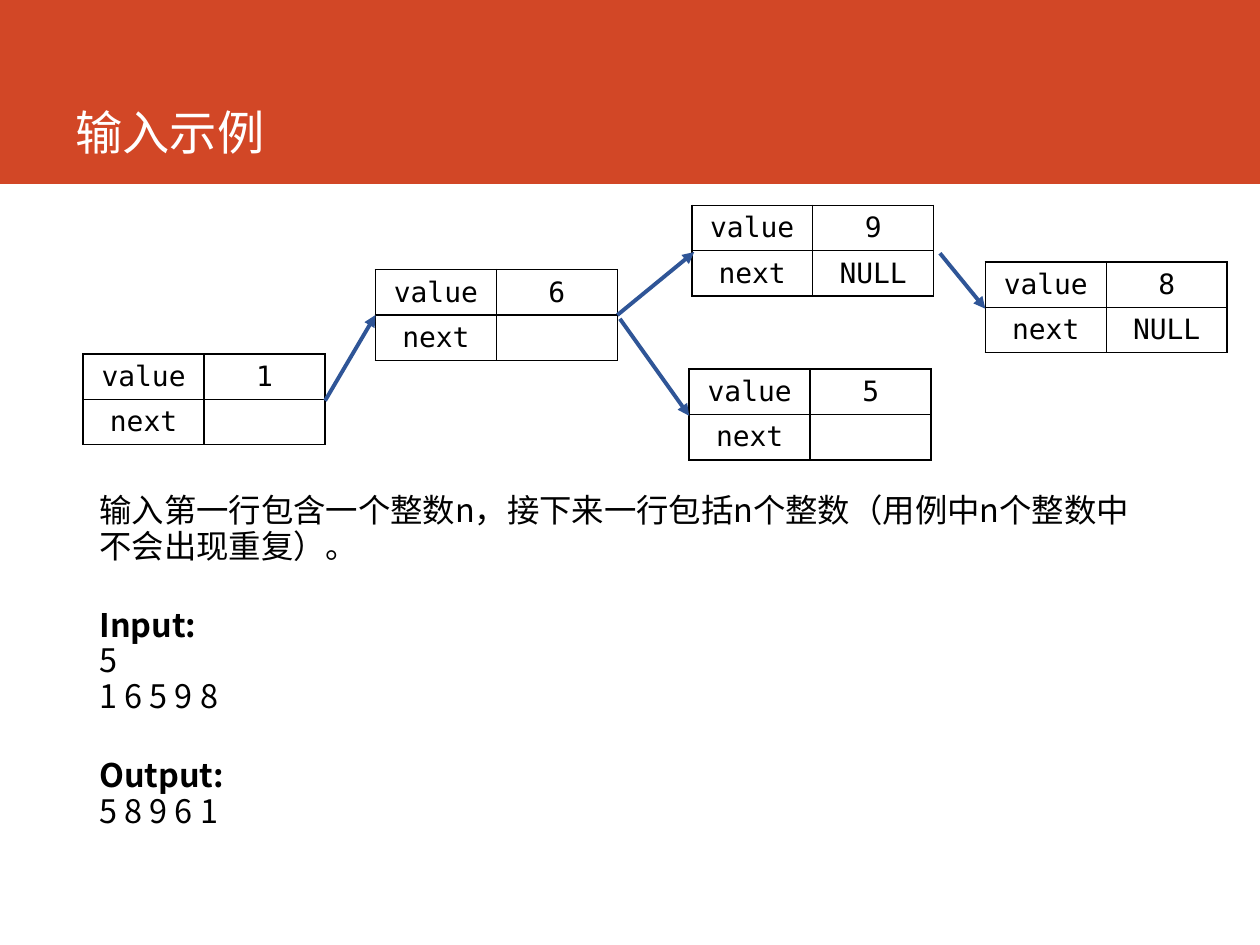
from lxml.etree import SubElement
from pptx import Presentation
from pptx.dml.color import RGBColor
from pptx.enum.shapes import MSO_CONNECTOR, MSO_SHAPE
from pptx.enum.text import MSO_ANCHOR, PP_ALIGN
from pptx.oxml.ns import qn
from pptx.util import Inches, Pt

COLORS = {"banner": "D24726", "title": "FFFFFF", "text": "000000", "arrow": "2F5597"}
SANS = "Noto Sans CJK SC"
MONO = "DejaVu Sans Mono"
COLUMN_WIDTH, ROW_HEIGHT = 0.96, 0.36


def color(name):
    return RGBColor.from_string(COLORS[name])


class SlideBuilder:
    """Holds the style and the current slide."""

    def __init__(self, page):
        self.page = page

    def style(self, paragraph, size, font, shade="text", bold=False):
        for span in paragraph.runs:
            span.font.size = Pt(size)
            span.font.name = font
            span.font.bold = bold
            span.font.color.rgb = color(shade)
            SubElement(span.font._element, qn("a:ea"), typeface=font)

    def banner(self, width, height):
        box = self.page.shapes.add_shape(
            MSO_SHAPE.RECTANGLE, 0, 0, Inches(width), Inches(height))
        box.shadow.inherit = False
        box.fill.solid()
        box.fill.fore_color.rgb = color("banner")
        box.line.fill.background()

    def text(self, left, top, width, height, anchor=MSO_ANCHOR.TOP):
        box = self.page.shapes.add_textbox(*map(Inches, (left, top, width, height)))
        box.text_frame.word_wrap = True
        box.text_frame.vertical_anchor = anchor
        return box.text_frame

    def title(self, wording):
        frame = self.text(0.5, 0, 8.82, 1.32, MSO_ANCHOR.BOTTOM)
        frame.text = wording
        self.style(frame.paragraphs[0], 27, SANS, "title")

    def body(self, lines):
        frame = self.text(0.69, 3.87, 8.62, 3.25)
        frame.text = "\n".join(lines)
        for paragraph in frame.paragraphs:
            heading = paragraph.text.endswith(":")
            paragraph.line_spacing = 0.92
            paragraph.space_before = Pt(24.6 if heading else 0)
            self.style(paragraph, 18.5, SANS, bold=heading)

    def border(self, cell):
        properties = cell._tc.get_or_add_tcPr()
        for position, side in enumerate(("a:lnL", "a:lnR", "a:lnT", "a:lnB")):
            line = SubElement(properties, qn(side), w=str(Pt(1)))
            fill = SubElement(line, qn("a:solidFill"))
            SubElement(fill, qn("a:srgbClr"), val=COLORS["text"])
            properties.insert(position, line)

    def node(self, left, top, value, target):
        table = self.page.shapes.add_table(
            2, 2, Inches(left), Inches(top),
            Inches(2 * COLUMN_WIDTH), Inches(2 * ROW_HEIGHT)).table
        table.first_row = table.horz_banding = False
        for row, wording in zip(table.rows, (("value", value), ("next", target))):
            row.height = Inches(ROW_HEIGHT)
            for cell, word in zip(row.cells, wording):
                cell.text = word
                cell.margin_top = cell.margin_bottom = 0
                cell.vertical_anchor = MSO_ANCHOR.MIDDLE
                cell.fill.background()
                paragraph = cell.text_frame.paragraphs[0]
                paragraph.alignment = PP_ALIGN.CENTER
                self.style(paragraph, 16, MONO)
                self.border(cell)

    def arrow(self, start, end):
        connector = self.page.shapes.add_connector(
            MSO_CONNECTOR.STRAIGHT, *map(Inches, start + end))
        connector.line.color.rgb = color("arrow")
        connector.line.width = Pt(2.25)
        SubElement(connector.line._get_or_add_ln(), qn("a:tailEnd"), type="triangle")
        SubElement(connector._element.spPr, qn("a:effectLst"))


def main():
    deck = Presentation()
    deck.slide_width, deck.slide_height = Inches(10), Inches(7.5)
    builder = SlideBuilder(deck.slides.add_slide(deck.slide_layouts[6]))

    # Heading
    builder.banner(10, 1.46)
    builder.title("输入示例")

    # Linked list nodes: left, top, value, next
    for node in (
        (0.66, 2.81, "1", ""),
        (2.98, 2.14, "6", ""),
        (5.47, 2.93, "5", ""),
        (7.82, 2.08, "8", "NULL"),
        (5.49, 1.63, "9", "NULL"),
    ):
        builder.node(*node)

    # Links between the nodes
    for start, end in (
        ((2.58, 3.18), (2.98, 2.5)),
        ((4.9, 2.5), (5.51, 2)),
        ((4.92, 2.53), (5.47, 3.3)),
        ((7.46, 2.01), (7.82, 2.45)),
    ):
        builder.arrow(start, end)

    # Input and output example
    builder.body((
        "输入第一行包含一个整数n，接下来一行包括n个整数（用例中n个整数中不会出现重复）。",
        "Input:", "5", "1 6 5 9 8",
        "Output:", "5 8 9 6 1",
    ))

    deck.save("out.pptx")


if __name__ == "__main__":
    main()
